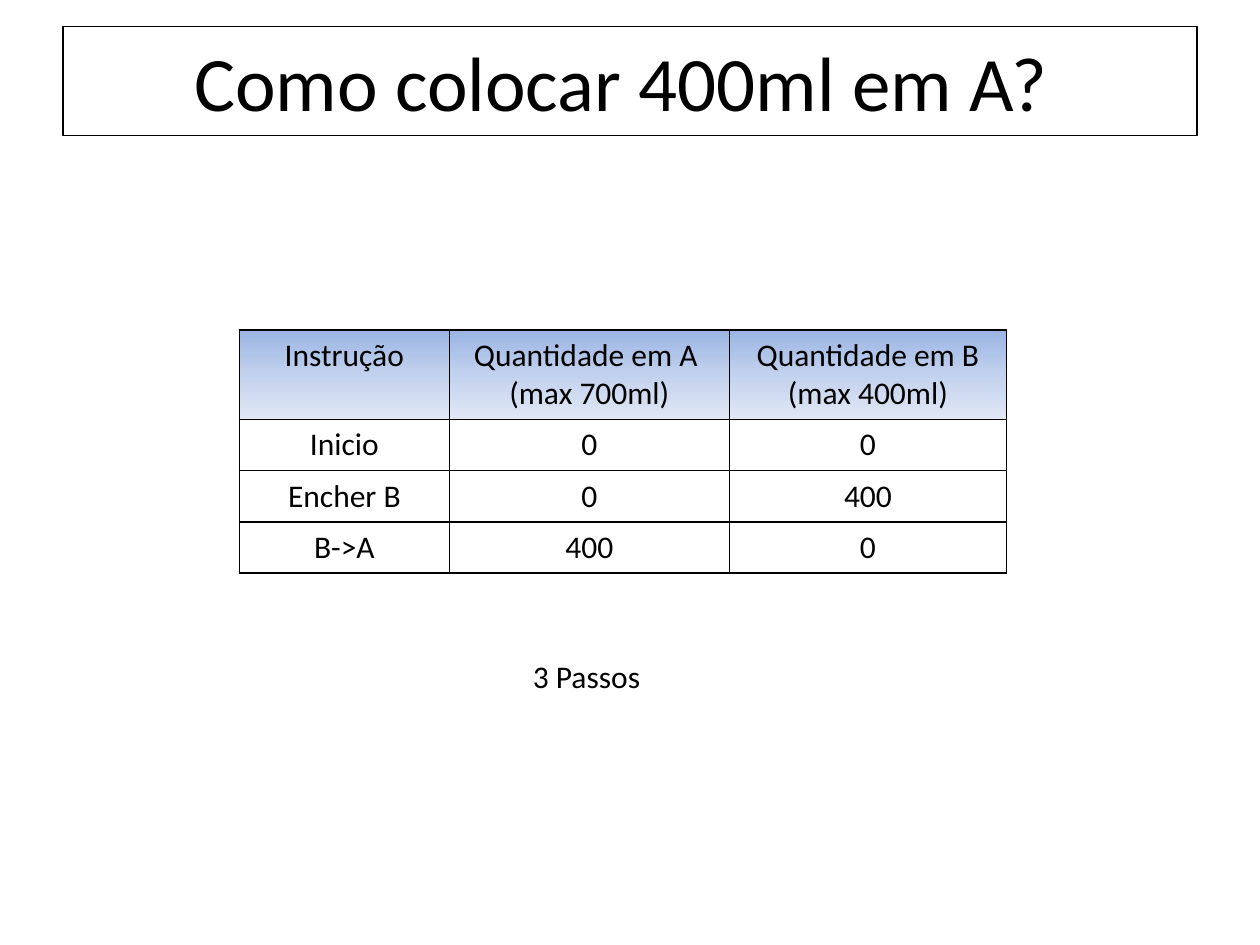
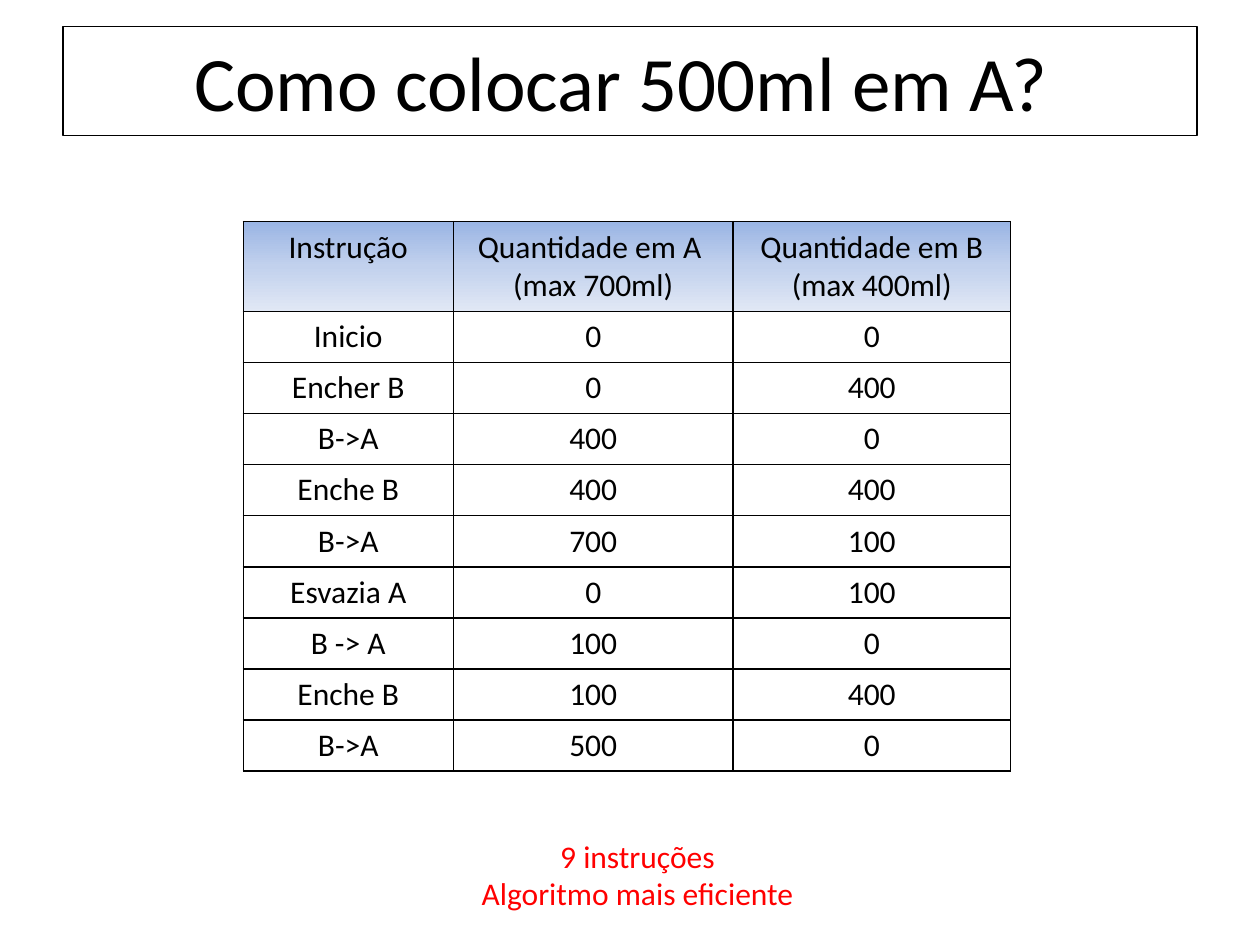
"""Build two slides that show how to measure volumes with containers A and B."""
from dataclasses import dataclass

from pptx import Presentation
from pptx.dml.color import RGBColor
from pptx.enum.text import MSO_ANCHOR, MSO_AUTO_SIZE, PP_ALIGN
from pptx.oxml import parse_xml
from pptx.oxml.ns import nsdecls
from pptx.util import Pt

FONT = "Calibri"
BLACK, RED = "000000", "FF0000"
HEADER_STOPS = ((0, "9AB5E4"), (50, "C2D1ED"), (100, "E1E8F5"))
HEADER = ("Instrução", "Quantidade em A \n(max 700ml)", "Quantidade em B\n(max 400ml)")
COLUMN_WIDTHS = (120, 160, 158.4)
HEADER_HEIGHT, ROW_HEIGHT = 51.2, 29.2
TITLE_BOX = (36, 15, 648, 62.6)


@dataclass
class Box:
    left: float
    top: float
    width: float
    height: float

    def place(self) -> tuple:
        return Pt(self.left), Pt(self.top), Pt(self.width), Pt(self.height)


@dataclass
class Puzzle:
    title: str
    table_at: tuple[float, float]
    steps: list[tuple[str, int, int]]
    note: str
    note_box: Box
    note_color: str = BLACK
    note_align: PP_ALIGN = PP_ALIGN.CENTER


def rgb(color: str) -> RGBColor:
    return RGBColor.from_string(color)


def write(tf, text: str, *, size: float = 18, color: str = BLACK,
          align: PP_ALIGN = PP_ALIGN.CENTER) -> None:
    tf.text = text
    for p in tf.paragraphs:
        p.alignment = align
        for r in p.runs:
            r.font.name, r.font.size, r.font.bold = FONT, Pt(size), False
            r.font.color.rgb = rgb(color)


def add_borders(cell, color: str = BLACK, width: float = 1) -> None:
    tc_pr = cell._tc.get_or_add_tcPr()
    for side in "LRTB":
        tc_pr.append(parse_xml(
            f'<a:ln{side} {nsdecls("a")} w="{Pt(width)}"><a:solidFill>'
            f'<a:srgbClr val="{color}"/></a:solidFill></a:ln{side}>'))


def fill_gradient(cell) -> None:
    stops = "".join(f'<a:gs pos="{pos * 1000}"><a:srgbClr val="{color}"/></a:gs>'
                    for pos, color in HEADER_STOPS)
    cell._tc.get_or_add_tcPr().append(parse_xml(
        f'<a:gradFill {nsdecls("a")} rotWithShape="1"><a:gsLst>{stops}</a:gsLst>'
        '<a:lin ang="5400000" scaled="0"/></a:gradFill>'))


def add_title(slide, text: str) -> None:
    sp = slide.shapes.title
    sp.left, sp.top, sp.width, sp.height = Box(*TITLE_BOX).place()
    sp.line.color.rgb = rgb(BLACK)
    sp.line.width = Pt(0.75)
    tf = sp.text_frame
    tf.auto_size = MSO_AUTO_SIZE.NONE
    tf.vertical_anchor = MSO_ANCHOR.MIDDLE
    write(tf, text, size=44)


def add_steps(slide, puzzle: Puzzle) -> None:
    rows = [HEADER, *puzzle.steps]
    box = Box(*puzzle.table_at, sum(COLUMN_WIDTHS),
              HEADER_HEIGHT + ROW_HEIGHT * len(puzzle.steps))
    table = slide.shapes.add_table(len(rows), len(HEADER), *box.place()).table
    table.first_row = table.horz_banding = False
    for column, width in zip(table.columns, COLUMN_WIDTHS):
        column.width = Pt(width)
    for i, values in enumerate(rows):
        table.rows[i].height = Pt(ROW_HEIGHT if i else HEADER_HEIGHT)
        for cell, value in zip(table.rows[i].cells, values):
            write(cell.text_frame, str(value))
            add_borders(cell)
            if i:
                cell.fill.background()
            else:
                fill_gradient(cell)


def add_note(slide, puzzle: Puzzle) -> None:
    tf = slide.shapes.add_textbox(*puzzle.note_box.place()).text_frame
    tf.word_wrap = False
    tf.auto_size = MSO_AUTO_SIZE.SHAPE_TO_FIT_TEXT
    write(tf, puzzle.note, color=puzzle.note_color, align=puzzle.note_align)


PUZZLES = [
    Puzzle("Como colocar 400ml em A? ", (136.8, 188.6),
           [("Inicio", 0, 0), ("Encher B", 0, 400), ("B->A", 400, 0)],
           "3 Passos", Box(297.4, 372.2, 76.3, 28.8), note_align=PP_ALIGN.LEFT),
    Puzzle("Como colocar 500ml em A? ", (139, 126.7),
           [("Inicio", 0, 0), ("Encher B", 0, 400), ("B->A", 400, 0),
            ("Enche B", 400, 400), ("B->A", 700, 100), ("Esvazia A", 0, 100),
            ("B -> A", 100, 0), ("Enche B", 100, 400), ("B->A", 500, 0)],
           "9 instruções\nAlgoritmo mais eficiente", Box(267.1, 474.5, 194.4, 51.1),
           note_color=RED),
]


def main() -> None:
    prs = Presentation()
    prs.slide_width, prs.slide_height = Pt(720), Pt(540)
    for puzzle in PUZZLES:
        slide = prs.slides.add_slide(prs.slide_layouts.get_by_name("Title Only"))
        add_title(slide, puzzle.title)
        add_steps(slide, puzzle)
        add_note(slide, puzzle)
    prs.save("out.pptx")


if __name__ == "__main__":
    main()
